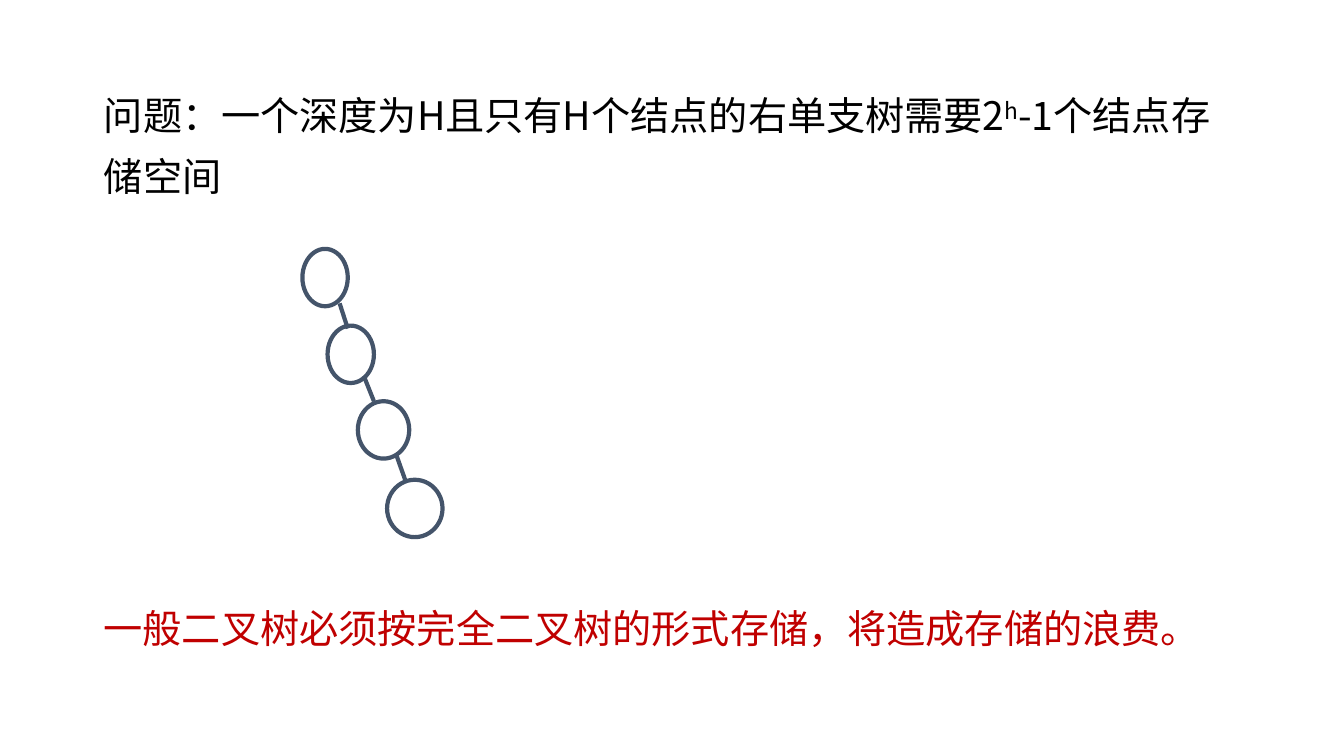
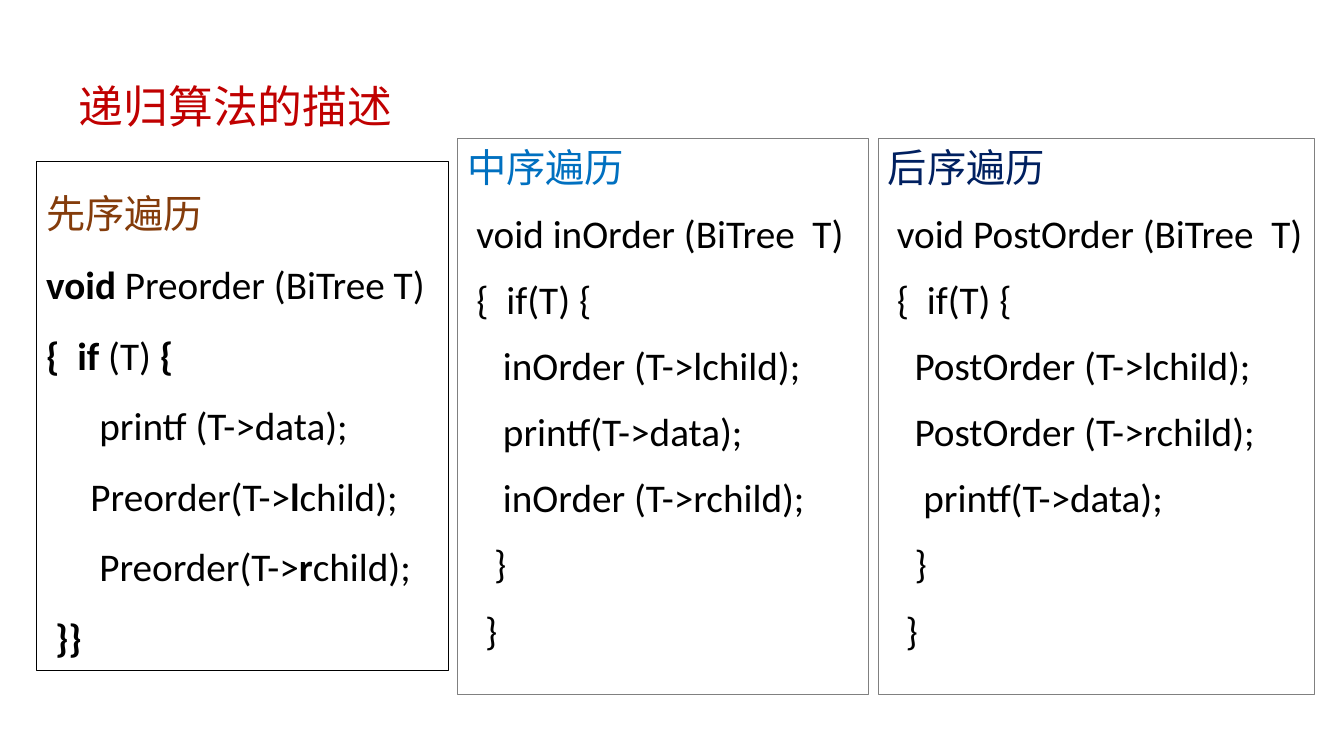
"""Build two slides on binary tree storage and recursive traversal."""
from dataclasses import dataclass
from typing import Optional

from lxml import etree
from pptx import Presentation
from pptx.dml.color import RGBColor
from pptx.enum.shapes import MSO_CONNECTOR, MSO_SHAPE
from pptx.enum.text import MSO_ANCHOR, MSO_AUTO_SIZE, PP_ALIGN
from pptx.oxml.ns import qn
from pptx.util import Pt

OVAL, RECTANGLE = MSO_SHAPE.OVAL, MSO_SHAPE.RECTANGLE
STRAIGHT = MSO_CONNECTOR.STRAIGHT
TOP, LEFT, JUSTIFY = MSO_ANCHOR.TOP, PP_ALIGN.LEFT, PP_ALIGN.JUSTIFY
FIXED_SIZE = MSO_AUTO_SIZE.NONE

COLOURS = {
    "black": "000000", "white": "FFFFFF", "red": "C00000", "slate": "44546A",
    "grey": "808080", "brown": "843C0B", "blue": "0070C0", "navy": "002060",
}
CHINESE_FONT, CODE_FONT, ACCENT_FONT = "Noto Sans CJK SC", "Calibri", "Vollkorn"
BODY_SIZE = 28
TITLE_ONLY = 5
NODE_HEIGHT, LINK_DROP, TREE_LINE = 41, 18, 3
PANEL_START, PANEL_GAP = 25.9, 6.5


@dataclass(frozen=True)
class Box:
    left: float
    top: float
    width: float
    height: float

    def lengths(self) -> tuple:
        return Pt(self.left), Pt(self.top), Pt(self.width), Pt(self.height)


@dataclass(frozen=True)
class Link:
    start_x: float
    start_y: float
    end_x: float


@dataclass(frozen=True)
class Panel:
    heading: str
    heading_font: str
    heading_colour: str
    code: list
    top: float
    width: float
    height: float
    border: str
    border_width: float
    fill: Optional[str] = None
    line_spacing: float = 1.0
    space_before: float = 0


def traversal_code(name: str, steps: list) -> list:
    return [f" void {name} (BiTree  T)", " {  if(T) {", *steps, "   }", "  }"]


NODES = [Box(216, 177.8, 32.4, NODE_HEIGHT), Box(234, 232.6, 33.1, NODE_HEIGHT),
         Box(255.6, 286.6, 36.7, NODE_HEIGHT), Box(276.5, 342.7, 39.6, NODE_HEIGHT)]
LINKS = [Link(242.6, 216.7, 248.4), Link(259.9, 268.6, 267.1),
         Link(283, 324.7, 289.4)]

PREORDER = ["*void *Preorder (BiTree T)", "*{  if *(T)* {*",
            "      printf (T->data);", "     Preorder(T->*l*child);",
            "      Preorder(T->*r*child);", " *}}*"]
INORDER = traversal_code("inOrder", [
    "    inOrder (T->lchild);", "    printf(T->data);", "    inOrder (T->rchild);"])
POSTORDER = traversal_code("PostOrder", [
    "   PostOrder (T->lchild);", "   PostOrder (T->rchild);", "    printf(T->data);"])

PANELS = [
    Panel("先序遍历", ACCENT_FONT, "brown", PREORDER, 115.2, 294.5, 363.6,
          "black", 1, line_spacing=1.5),
    Panel("中序遍历", CODE_FONT, "blue", INORDER, 98.6, 293.8, 397.4,
          "grey", 0.75, fill="white", space_before=13.6),
    Panel("后序遍历", CODE_FONT, "navy", POSTORDER, 98.6, 312, 397.4,
          "grey", 0.75, fill="white", space_before=13.6),
]


def rgb(colour: str) -> RGBColor:
    return RGBColor.from_string(COLOURS[colour])


def format_run(run, colour: str, font: str = CHINESE_FONT,
               size: float = BODY_SIZE, bold: bool = False) -> None:
    run.font.name, run.font.size, run.font.bold = font, Pt(size), bold
    run.font.color.rgb = rgb(colour)
    east_asian = etree.SubElement(run._r.get_or_add_rPr(), qn("a:ea"))
    east_asian.set("typeface", CHINESE_FONT)


def prepare_frame(frame) -> None:
    frame.auto_size = FIXED_SIZE
    frame.word_wrap = True
    frame.vertical_anchor = TOP


def set_title(slide, text: str, box: Box, colour: str,
              size: float = BODY_SIZE):
    title = slide.shapes.title
    title.left, title.top, title.width, title.height = box.lengths()
    prepare_frame(title.text_frame)
    title.text_frame.text = text
    heading = title.text_frame.paragraphs[0]
    heading.alignment = LEFT
    format_run(heading.runs[0], colour, size=size)
    return heading


def draw_outline(slide, kind, box: Box, border: str, width: float,
                 fill: Optional[str] = None):
    outline = slide.shapes.add_shape(kind, *box.lengths())
    outline.shadow.inherit = False
    if fill:
        outline.fill.solid()
        outline.fill.fore_color.rgb = rgb(fill)
    else:
        outline.fill.background()
    outline.line.color.rgb = rgb(border)
    outline.line.width = Pt(width)
    return outline


def draw_link(slide, link: Link) -> None:
    branch = slide.shapes.add_connector(
        STRAIGHT, Pt(link.start_x), Pt(link.start_y),
        Pt(link.end_x), Pt(link.start_y + LINK_DROP))
    branch.line.color.rgb = rgb("slate")
    branch.line.width = Pt(TREE_LINE)
    etree.SubElement(branch._element.spPr, qn("a:effectLst"))


def write_code_line(paragraph, line: str) -> None:
    for index, part in enumerate(line.split("*")):
        if part:
            run = paragraph.add_run()
            run.text = part
            format_run(run, "black", CODE_FONT, bold=index % 2 == 1)


def draw_panel(slide, panel: Panel, left: float) -> None:
    box = Box(left, panel.top, panel.width, panel.height)
    frame = draw_outline(slide, RECTANGLE, box, panel.border,
                         panel.border_width, panel.fill).text_frame
    prepare_frame(frame)
    frame.text = panel.heading
    format_run(frame.paragraphs[0].runs[0], panel.heading_colour,
               panel.heading_font)
    for line in panel.code:
        code_line = frame.add_paragraph()
        code_line.space_before = Pt(panel.space_before)
        write_code_line(code_line, line)
    for paragraph in frame.paragraphs:
        paragraph.alignment = LEFT
        paragraph.line_spacing = panel.line_spacing


def build_storage_slide(slide) -> None:
    question = set_title(slide, "问题：一个深度为H且只有H个结点的右单支树需要2",
                         Box(67, 51.8, 823.7, 89.3), "black")
    question.line_spacing = 1.3
    for text, baseline in (("h", "30000"), ("-1个结点存储空间", "0")):
        run = question.add_run()
        run.text = text
        format_run(run, "black")
        run._r.get_or_add_rPr().set("baseline", baseline)
    for node in NODES:
        draw_outline(slide, OVAL, node, "slate", TREE_LINE)
    for link in LINKS:
        draw_link(slide, link)
    conclusion = slide.shapes.add_textbox(
        *Box(67, 419.8, 835, 43.9).lengths()).text_frame
    prepare_frame(conclusion)
    conclusion.text = "一般二叉树必须按完全二叉树的形式存储，将造成存储的浪费。"
    statement = conclusion.paragraphs[0]
    statement.alignment, statement.line_spacing = JUSTIFY, 1.25
    format_run(statement.runs[0], "red")


def build_traversal_slide(slide) -> None:
    set_title(slide, "递归算法的描述", Box(49, 52.6, 324, 45.4), "red", 32)
    left = PANEL_START
    for panel in PANELS:
        draw_panel(slide, panel, left)
        left += panel.width + PANEL_GAP


def main() -> None:
    deck = Presentation()
    deck.slide_width, deck.slide_height = Pt(960), Pt(540)
    for build in (build_storage_slide, build_traversal_slide):
        build(deck.slides.add_slide(deck.slide_layouts[TITLE_ONLY]))
    deck.save("out.pptx")


if __name__ == "__main__":
    main()
